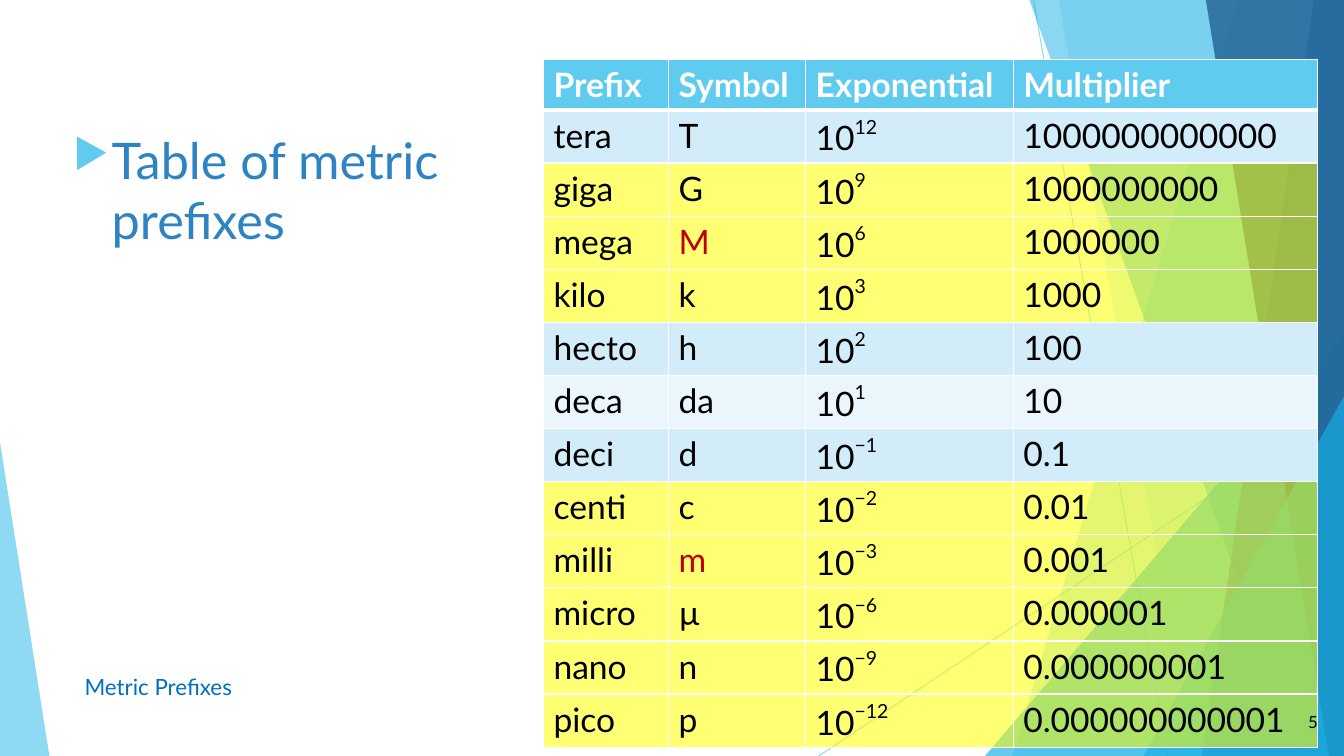
"""Build a slide that lists the metric prefixes beside a faceted backdrop."""
from dataclasses import dataclass

import pptx
import pptx.dml.color
import pptx.enum.shapes
import pptx.enum.text
import pptx.oxml.ns
import pptx.oxml.xmlchemy
import pptx.util

Inches = pptx.util.Inches
SLIDE_WIDTH, SLIDE_HEIGHT = 13.33, 7.5
FONT = "Lato"
COLORS = {
    "sky": "5FCBEF",
    "cyan": "17B0E4",
    "blue": "2E83C3",
    "navy": "226292",
    "footer": "0070C0",
    "band": "D2ECF9",
    "pale": "EAF6FC",
    "yellow": "FFFF00",
    "red": "C00000",
    "black": "000000",
    "white": "FFFFFF",
}


@dataclass(frozen=True)
class Ray:
    start: tuple[float, float]
    end: tuple[float, float]


@dataclass(frozen=True)
class Facet:
    top_left: float
    bottom_left: float
    color: str
    opacity: int


@dataclass(frozen=True)
class Corner:
    left: float
    top: float
    width: float
    apex: float
    color: str
    opacity: int


@dataclass(frozen=True)
class Prefix:
    name: str
    symbol: str
    exponent: str
    multiplier: str
    fill: str = "yellow"
    symbol_color: str = "black"


RAYS = [Ray((10.25, 0), (11.58, 7.5)), Ray((13.33, 4.03), (8.12, 7.5))]
BACKDROP = [
    Facet(12.28, 10.04, "sky", 36),
    Facet(10.5, 11.83, "sky", 20),
    Corner(9.77, 3.33, 3.56, 1, "cyan", 66),
    Facet(10.21, 12.91, "cyan", 50),
    Facet(13.03, 11.92, "blue", 70),
    Facet(11.96, 13.18, "navy", 80),
    Corner(11.34, 3.93, 1.99, 1, "cyan", 66),
    Corner(0, 4.39, 0.49, 0, "sky", 70),
]
HEADINGS = ["Prefix", "Symbol", "Exponential", "Multiplier"]
COLUMN_WIDTHS = [1.24, 1.36, 2.06, 3.02]
ROW_HEIGHT = 0.46
PREFIXES = [
    Prefix("tera", "T", "12", "1000000000000", "band"),
    Prefix("giga", "G", "9", "1000000000"),
    Prefix("mega", "M", "6", "1000000", symbol_color="red"),
    Prefix("kilo", "k", "3", "1000"),
    Prefix("hecto", "h", "2", "100", "band"),
    Prefix("deca", "da", "1", "10", "pale"),
    Prefix("deci", "d", "−1", "0.1", "band"),
    Prefix("centi", "c", "−2", "0.01"),
    Prefix("milli", "m", "−3", "0.001", symbol_color="red"),
    Prefix("micro", "µ", "−6", "0.000001"),
    Prefix("nano", "n", "−9", "0.000000001"),
    Prefix("pico", "p", "−12", "0.000000000001"),
]


def rgb(color: str) -> pptx.dml.color.RGBColor:
    return pptx.dml.color.RGBColor.from_string(COLORS[color])


def add_element(parent, tag: str, **attributes):
    element = pptx.oxml.xmlchemy.OxmlElement(tag)
    for name, value in attributes.items():
        element.set(name, str(value))
    parent.append(element)
    return element


def set_opacity(element, percent: int) -> None:
    for color in element.iter(pptx.oxml.ns.qn("a:srgbClr")):
        add_element(color, "a:alpha", val=percent * 1000)


def draw_ray(slide, ray: Ray) -> None:
    points = [Inches(value) for value in ray.start + ray.end]
    connector = slide.shapes.add_connector(pptx.enum.shapes.MSO_CONNECTOR.STRAIGHT, *points)
    connector.line.color.rgb = rgb("sky")
    connector.line.width = pptx.util.Pt(0.75)
    set_opacity(connector.element, 70)
    add_element(connector.element.spPr, "a:effectLst")


def draw_backdrop_part(slide, part: Facet | Corner) -> None:
    if isinstance(part, Facet):
        builder = slide.shapes.build_freeform(Inches(part.top_left), 0)
        outline = [(SLIDE_WIDTH, 0), (SLIDE_WIDTH, SLIDE_HEIGHT), (part.bottom_left, SLIDE_HEIGHT)]
        builder.add_line_segments([(Inches(x), Inches(y)) for x, y in outline])
        shape = builder.convert_to_shape()
    else:
        shape = slide.shapes.add_shape(
            pptx.enum.shapes.MSO_SHAPE.ISOSCELES_TRIANGLE, Inches(part.left), Inches(part.top),
            Inches(part.width), Inches(SLIDE_HEIGHT - part.top))
        shape.adjustments[0] = part.apex
    shape.shadow.inherit = False
    shape.fill.solid()
    shape.fill.fore_color.rgb = rgb(part.color)
    shape.line.fill.background()
    set_opacity(shape.element, part.opacity)


def format_runs(paragraph, size: float, color: str, bold: bool = False) -> None:
    for run in paragraph.runs:
        run.font.name = FONT
        run.font.size = pptx.util.Pt(size)
        run.font.bold = bold
        run.font.color.rgb = rgb(color)


def add_text(slide, box: tuple[float, float, float, float], text: str, size: float,
             color: str, anchor: str = "MIDDLE", alignment: str = "LEFT"):
    frame = slide.shapes.add_textbox(*map(Inches, box)).text_frame
    frame.word_wrap = True
    frame.vertical_anchor = pptx.enum.text.MSO_ANCHOR[anchor]
    frame.text = text
    paragraph = frame.paragraphs[0]
    paragraph.alignment = pptx.enum.text.PP_ALIGN[alignment]
    format_runs(paragraph, size, color)
    return paragraph


def add_bullet(paragraph) -> None:
    properties = paragraph._p.get_or_add_pPr()
    properties.set("marL", str(Inches(0.38)))
    properties.set("indent", str(-Inches(0.38)))
    add_element(add_element(properties, "a:buClr"), "a:srgbClr", val=COLORS["sky"])
    add_element(properties, "a:buSzPct", val=80000)
    add_element(properties, "a:buChar", char="▶")


def style_cell(cell, fill: str, top: int = 1, bottom: int = 1) -> None:
    properties = cell._tc.get_or_add_tcPr()
    for side, points in (("L", 1), ("R", 1), ("T", top), ("B", bottom)):
        border = add_element(properties, f"a:ln{side}", w=pptx.util.Pt(points))
        add_element(add_element(border, "a:solidFill"), "a:srgbClr", val=COLORS["white"])
    cell.fill.solid()
    cell.fill.fore_color.rgb = rgb(fill)
    if fill == "yellow":
        set_opacity(properties.find(pptx.oxml.ns.qn("a:solidFill")), 55)


def add_prefix_table(slide) -> None:
    row_count = len(PREFIXES) + 1
    table = slide.shapes.add_table(
        row_count, len(HEADINGS), Inches(5.39), Inches(0.59),
        Inches(sum(COLUMN_WIDTHS)), Inches(ROW_HEIGHT * row_count)).table
    for column, width in zip(table.columns, COLUMN_WIDTHS):
        column.width = Inches(width)
    for index, heading in enumerate(HEADINGS):
        cell = table.cell(0, index)
        cell.text_frame.text = heading
        format_runs(cell.text_frame.paragraphs[0], 24, "white", bold=True)
        style_cell(cell, "sky", bottom=3)
    for row, prefix in enumerate(PREFIXES, start=1):
        for column, text in enumerate([prefix.name, prefix.symbol, "10", prefix.multiplier]):
            cell = table.cell(row, column)
            cell.text_frame.text = text
            paragraph = cell.text_frame.paragraphs[0]
            if HEADINGS[column] == "Exponential":
                exponent = paragraph.add_run()
                exponent.text = prefix.exponent
                exponent._r.get_or_add_rPr().set("baseline", "50000")
            is_symbol = HEADINGS[column] == "Symbol"
            format_runs(paragraph, 24, prefix.symbol_color if is_symbol else "black")
            style_cell(cell, prefix.fill, top=3 if row == 1 else 1)


def main() -> None:
    presentation = pptx.Presentation()
    presentation.slide_width = Inches(SLIDE_WIDTH)
    presentation.slide_height = Inches(SLIDE_HEIGHT)
    slide = presentation.slides.add_slide(presentation.slide_layouts[6])
    for ray in RAYS:
        draw_ray(slide, ray)
    for part in BACKDROP:
        draw_backdrop_part(slide, part)
    add_bullet(add_text(slide, (0.63, 1.23, 4.5, 1.71), "Table of metric prefixes", 36, "blue", "TOP"))
    add_prefix_table(slide)
    add_text(slide, (0.74, 6.61, 6.89, 0.4), "Metric Prefixes", 16, "footer")
    add_text(slide, (12.42, 6.96, 0.75, 0.4), "5", 12, "black", alignment="RIGHT")
    presentation.save("out.pptx")


if __name__ == "__main__":
    main()
